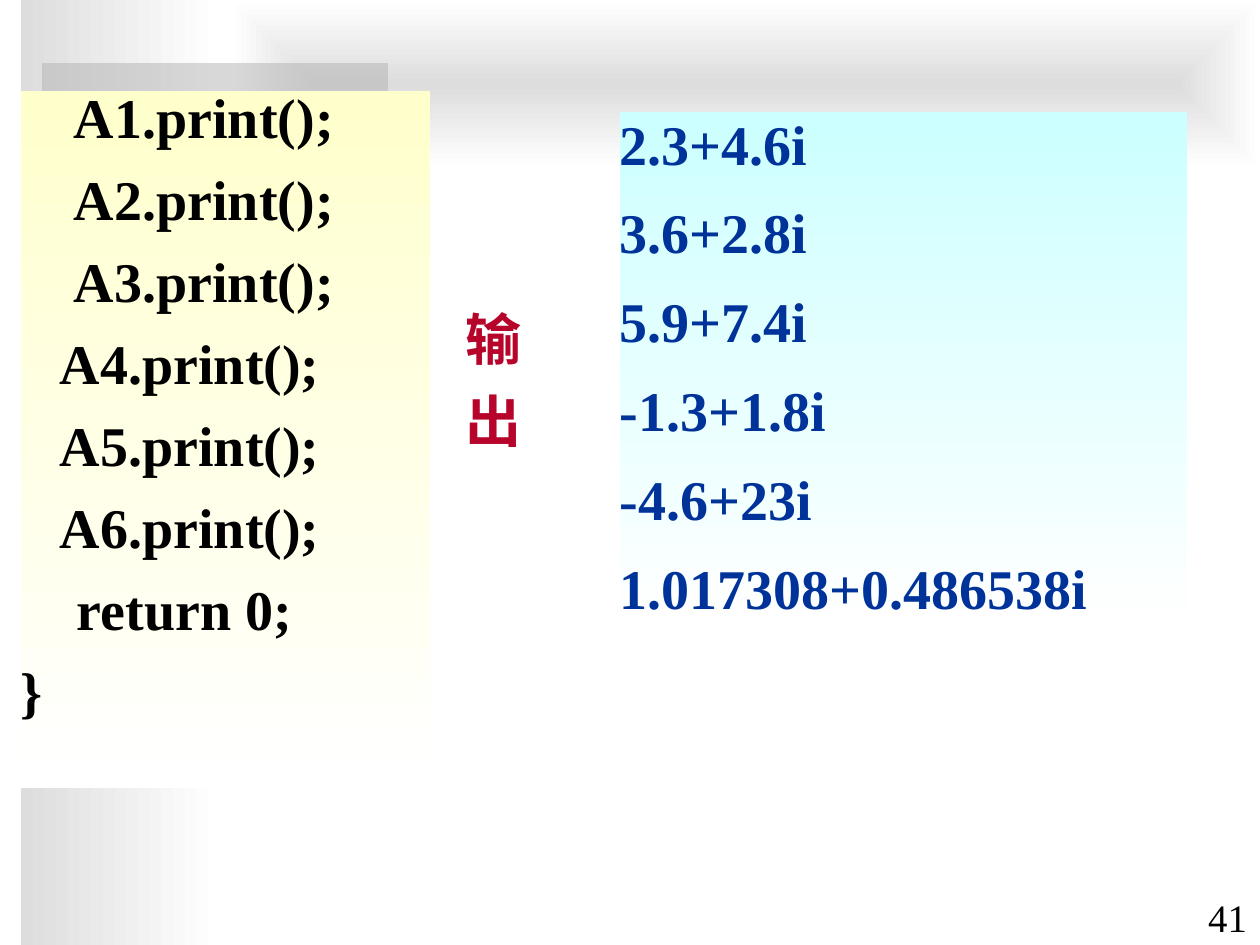
from pptx import Presentation
from pptx.dml.color import RGBColor
from pptx.enum.shapes import MSO_SHAPE
from pptx.enum.text import MSO_ANCHOR, PP_ALIGN
from pptx.oxml import parse_xml
from pptx.oxml.ns import nsdecls, qn
from pptx.util import Emu, Pt

PX = 914400 // 126
FONT = "Times New Roman"
COLORS = {
    "white": "FFFFFF", "black": "000000", "silver": "DDDDDD", "gray": "B2B2B2",
    "cream": "FFFFCC", "aqua": "CCFFFF", "blue": "003399", "red": "B6042A",
}

CODE = [
    "    A1.print();",
    "    A2.print();",
    "    A3.print();",
    "   A4.print();",
    "   A5.print();",
    "   A6.print();",
    "    return 0;",
    "}",
]
OUTPUT_LABEL = ["输", "出"]
OUTPUT = ["2.3+4.6i", "3.6+2.8i", "5.9+7.4i", "-1.3+1.8i", "-4.6+23i", "1.017308+0.486538i"]
PAGE_NUMBER = ["41"]


def rgb(name):
    return RGBColor.from_string(COLORS[name])


def box(place):
    return [Emu(length * PX) for length in place]


def add_block(place):
    block = slide.shapes.add_shape(MSO_SHAPE.RECTANGLE, *box(place))
    block.shadow.inherit = False
    block.line.fill.background()
    return block


def fade_to_white(block, color, angle=0):
    block.fill.gradient()
    block.fill.gradient_angle = angle
    for stop, name in zip(block.fill.gradient_stops, (color, "white")):
        stop.color.rgb = rgb(name)


def write(shape, lines, color, size=32, bold=True, align=PP_ALIGN.LEFT,
          anchor=MSO_ANCHOR.MIDDLE, margins=(0, 0), spacing=1.0, before=0):
    frame = shape.text_frame
    frame.word_wrap = True
    frame.vertical_anchor = anchor
    frame.margin_left = frame.margin_right = Emu(margins[0] * PX)
    frame.margin_top = frame.margin_bottom = Emu(margins[1] * PX)
    for index, line in enumerate(lines):
        paragraph = frame.add_paragraph() if index else frame.paragraphs[0]
        paragraph.text = line
        paragraph.alignment = align
        paragraph.line_spacing = spacing
        paragraph.space_before = Pt(before if index else 0)
        paragraph.font.name = FONT
        paragraph.font.size = Pt(size)
        paragraph.font.bold = bold
        paragraph.font.color.rgb = rgb(color)


prs = Presentation()
prs.slide_width, prs.slide_height = box((1260, 945))
slide = prs.slides.add_slide(prs.slide_layouts[6])

side_band = add_block((21, 0, 199, 945))
fade_to_white(side_band, "silver")

top_band = add_block((231, 0, 1029, 168))
fade_to_white(top_band, "silver")
direction = top_band.element.spPr.find(qn("a:gradFill")).find(qn("a:lin"))
direction.getparent().replace(direction, parse_xml(
    f'<a:path {nsdecls("a")} path="rect">'
    '<a:fillToRect l="50000" t="50000" r="50000" b="50000"/></a:path>'))

accent_bar = add_block((42, 63, 346, 42))
accent_bar.fill.solid()
accent_bar.fill.fore_color.rgb = rgb("gray")
accent_bar.element.spPr.find(qn("a:solidFill"))[0].append(
    parse_xml(f'<a:alpha {nsdecls("a")} val="50000"/>'))

page_number = slide.shapes.add_textbox(*box((1134, 883, 126, 63)))
write(page_number, PAGE_NUMBER, "black", size=22.2, bold=False, align=PP_ALIGN.RIGHT,
      anchor=MSO_ANCHOR.BOTTOM, margins=(13, 6))

code_panel = add_block((21, 91, 409, 697))
fade_to_white(code_panel, "cream", 270)
write(code_panel, CODE, "black", anchor=MSO_ANCHOR.TOP, margins=(0, 10),
      spacing=0.7, before=20)

output_label = slide.shapes.add_textbox(*box((462, 294, 63, 170)))
write(output_label, OUTPUT_LABEL, "red", align=PP_ALIGN.CENTER, before=8)

output_panel = add_block((620, 112, 567, 518))
fade_to_white(output_panel, "aqua", 270)
write(output_panel, OUTPUT, "blue", margins=(0, 10), spacing=0.8, before=20)

prs.save("out.pptx")
